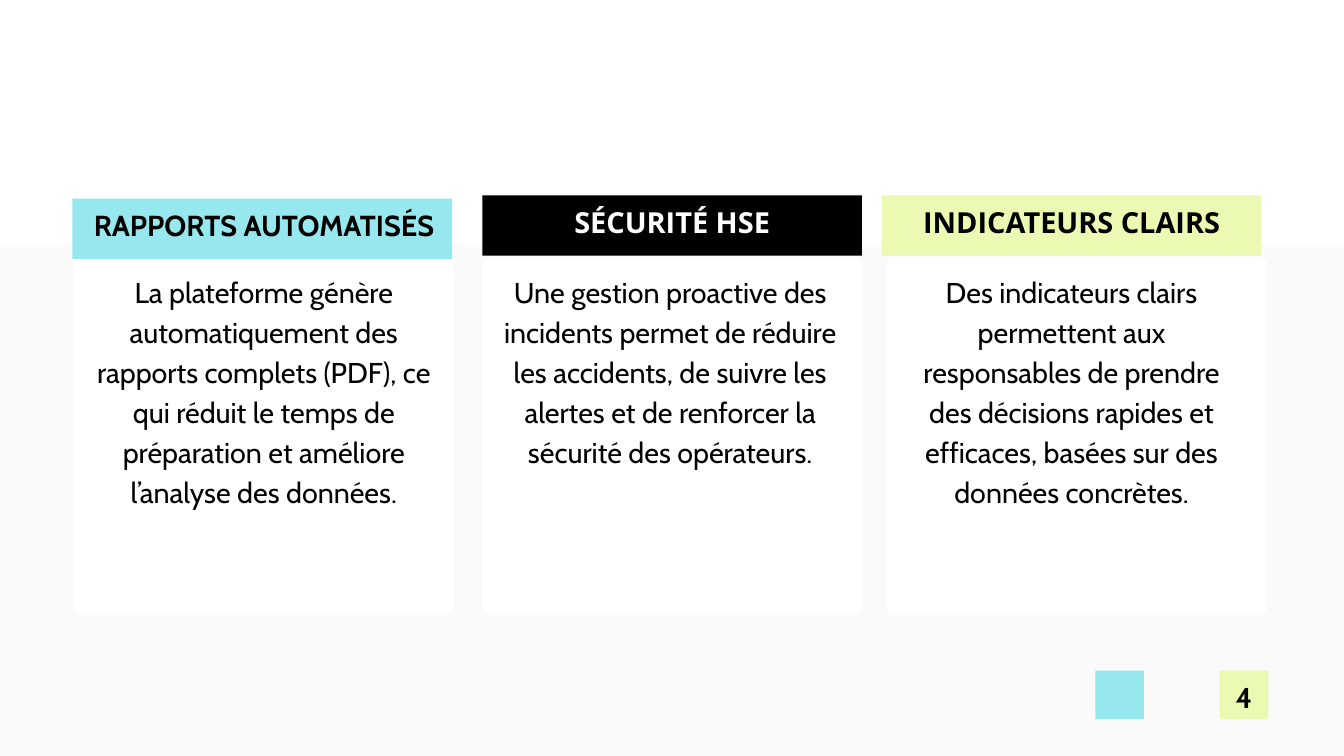
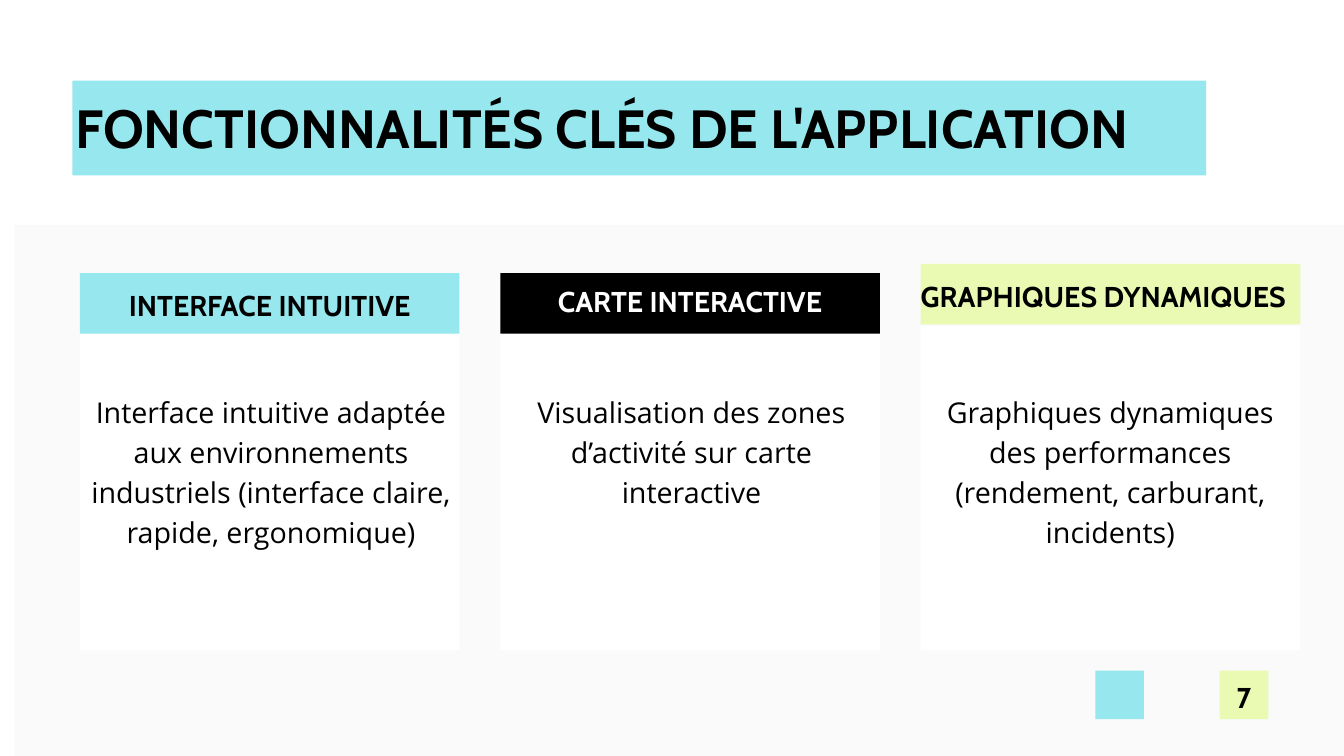
from dataclasses import dataclass

from pptx import Presentation
from pptx.dml.color import RGBColor
from pptx.enum.shapes import MSO_SHAPE
from pptx.enum.text import MSO_ANCHOR, MSO_AUTO_SIZE, PP_ALIGN
from pptx.util import Cm, Pt

RECTANGLE = MSO_SHAPE.RECTANGLE
LEFT, CENTER = PP_ALIGN.LEFT, PP_ALIGN.CENTER
TOP = MSO_ANCHOR.TOP
NO_AUTOFIT = MSO_AUTO_SIZE.NONE
TITLE_ONLY, BLANK = 5, 6


@dataclass(frozen=True)
class Theme:
    cyan: str = "96E8EE"
    lime: str = "EAFAB2"
    black: str = "000000"
    white: str = "FFFFFF"
    grey: str = "FAFAFA"
    display: str = "Cabin"
    plain: str = "Open Sans"
    title: float = 57.6
    label: float = 31
    text: float = 30.7
    title_pitch: float = 62.2
    label_pitch: float = 43.4
    text_pitch: float = 43


THEME = Theme()

# Lengths in centimetres
PAGE_WIDTH, PAGE_HEIGHT = 50.8, 28.58
CARD_WIDTH, BAND_HEIGHT = 14.35, 2.28
SQUARE = 1.84


@dataclass
class Card:
    """A coloured band with its label, over a white panel with its text."""
    label: str
    text: str
    band: tuple
    label_at: tuple
    panel: tuple
    text_at: tuple
    fill: str
    color: str = THEME.black
    label_font: str = THEME.display
    text_font: str = THEME.display
    label_size: float = THEME.text
    label_align: int = CENTER


def write(shape, text, *, size=THEME.text, pitch=THEME.text_pitch, font=THEME.display,
          color=THEME.black, bold=False, align=CENTER, inset=(0, 0)):
    frame = shape.text_frame
    frame.word_wrap = True
    frame.auto_size = NO_AUTOFIT
    frame.vertical_anchor = TOP
    frame.margin_left, frame.margin_top = (Cm(length) for length in inset)
    frame.margin_right = frame.margin_bottom = 0
    para = frame.paragraphs[0]
    para.alignment = align
    para.line_spacing = Pt(pitch)
    span = para.add_run()
    span.text = text
    span.font.name = font
    span.font.size = Pt(size)
    span.font.bold = bold
    span.font.color.rgb = RGBColor.from_string(color)


def place(shape, left, top, width, height):
    shape.left, shape.top = Cm(left), Cm(top)
    shape.width, shape.height = Cm(width), Cm(height)


def paint(shape, color):
    shape.fill.solid()
    shape.fill.fore_color.rgb = RGBColor.from_string(color)
    shape.line.fill.background()


def add_block(page, left, top, width, height, color):
    block = page.shapes.add_shape(RECTANGLE, Cm(left), Cm(top), Cm(width), Cm(height))
    block.shadow.inherit = False
    paint(block, color)
    return block


def add_text(page, left, top, width, height, text, **style):
    box = page.shapes.add_textbox(Cm(left), Cm(top), Cm(width), Cm(height))
    write(box, text, **style)


def add_title(page, text):
    title = page.shapes.title
    place(title, 2.74, 3.05, 42.85, 3.58)
    paint(title, THEME.cyan)
    write(title, text, size=THEME.title, pitch=THEME.title_pitch, bold=True,
          align=LEFT, inset=(0.1, 0.76))


def add_backdrop(page, left, top):
    add_block(page, left, top, PAGE_WIDTH - left, PAGE_HEIGHT - top, THEME.grey)


def add_footer(page, number):
    add_block(page, 41.4, 25.35, SQUARE, SQUARE, THEME.cyan)
    badge = add_block(page, 46.1, 25.35, SQUARE, SQUARE, THEME.lime)
    write(badge, str(number), bold=True, inset=(0, 0.13))


def add_card(page, card):
    left, top, bottom = card.panel
    add_block(page, left, top, CARD_WIDTH, bottom - top, THEME.white)
    add_block(page, *card.band, CARD_WIDTH, BAND_HEIGHT, card.fill)
    add_text(page, *card.label_at, CARD_WIDTH, 1.5, card.label, font=card.label_font,
             size=card.label_size, pitch=card.label_size * 1.4, color=card.color,
             bold=True, align=card.label_align)
    left, top, width = card.text_at
    add_text(page, left, top, width, 9, card.text, font=card.text_font)


def add_benefits(deck):
    page = deck.slides.add_slide(deck.slide_layouts[BLANK])
    add_backdrop(page, 0, 9.26)
    panel_top, panel_bottom = 9.79, 23.16
    text_top, text_width = 10.16, 12.83
    cards = [
        Card("RAPPORTS AUTOMATISÉS",
             "La plateforme génère automatiquement des rapports complets (PDF), ce qui "
             "réduit le temps de préparation et améliore l’analyse des données.",
             (2.74, 7.51), (2.8, 7.62), (2.79, panel_top, panel_bottom),
             (3.56, text_top, text_width), THEME.cyan, label_size=THEME.label),
        Card("SÉCURITÉ HSE",
             "Une gestion proactive des incidents permet de réduire les accidents, de "
             "suivre les alertes et de renforcer la sécurité des opérateurs.",
             (18.23, 7.39), (18.23, 7.53), (18.23, panel_top, panel_bottom),
             (18.92, text_top, text_width), THEME.black, color=THEME.white,
             label_font=THEME.plain, label_size=THEME.label),
        Card("INDICATEURS CLAIRS",
             "Des indicateurs clairs permettent aux responsables de prendre des "
             "décisions rapides et efficaces, basées sur des données concrètes.",
             (33.33, 7.39), (33.33, 7.53), (33.53, panel_top, panel_bottom),
             (34.09, text_top, text_width), THEME.lime,
             label_font=THEME.plain, label_size=THEME.label),
    ]
    for card in cards:
        add_card(page, card)
    add_footer(page, 4)


def add_features(deck):
    page = deck.slides.add_slide(deck.slide_layouts[TITLE_ONLY])
    add_title(page, "FONCTIONNALITÉS CLÉS DE L'APPLICATION")
    add_backdrop(page, 0.56, 8.5)
    first, second, third = (3.02 + 15.89 * column for column in range(3))
    panel_bottom, text_top, text_width = 24.59, 14.71, 14.2
    cards = [
        Card("INTERFACE INTUITIVE",
             "Interface intuitive adaptée aux environnements industriels "
             "(interface claire, rapide, ergonomique)",
             (first, 10.33), (first, 10.67), (first, 12.6, panel_bottom),
             (first + 0.13, text_top, text_width), THEME.cyan, text_font=THEME.plain),
        Card("CARTE INTERACTIVE",
             "Visualisation des zones d’activité sur carte interactive",
             (second, 10.33), (second, 10.52), (second, 12.6, panel_bottom),
             (second + 0.13, text_top, text_width), THEME.black, color=THEME.white,
             text_font=THEME.plain),
        Card("GRAPHIQUES DYNAMIQUES",
             "Graphiques dynamiques des performances (rendement, carburant, incidents)",
             (third, 9.98), (third, 10.31), (third, 12.32, panel_bottom),
             (third + 0.07, text_top, text_width), THEME.lime, text_font=THEME.plain,
             label_align=LEFT),
    ]
    for card in cards:
        add_card(page, card)
    add_footer(page, 7)


def main():
    deck = Presentation()
    deck.slide_width, deck.slide_height = Cm(PAGE_WIDTH), Cm(PAGE_HEIGHT)
    add_benefits(deck)
    add_features(deck)
    deck.save("out.pptx")


if __name__ == "__main__":
    main()
